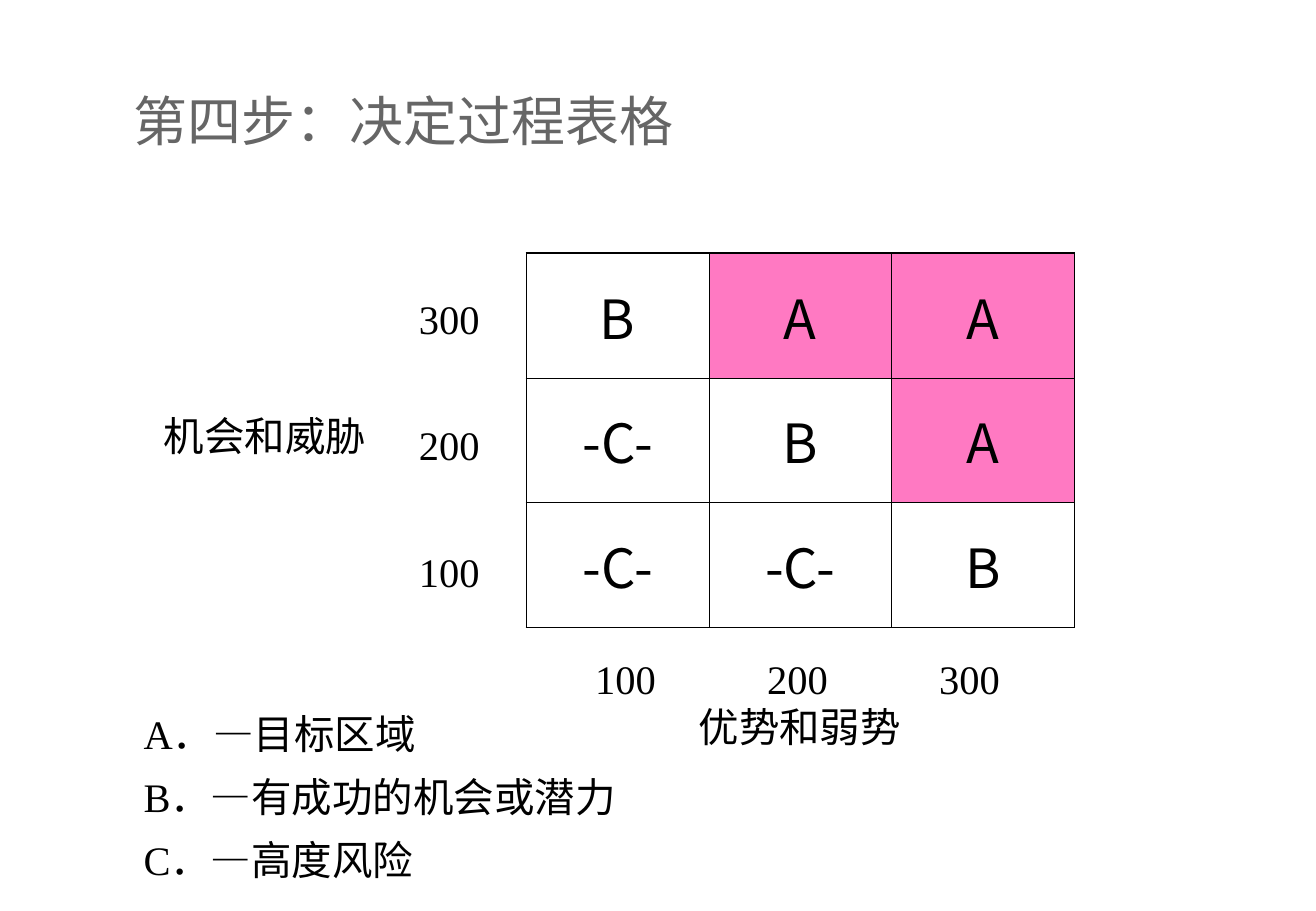
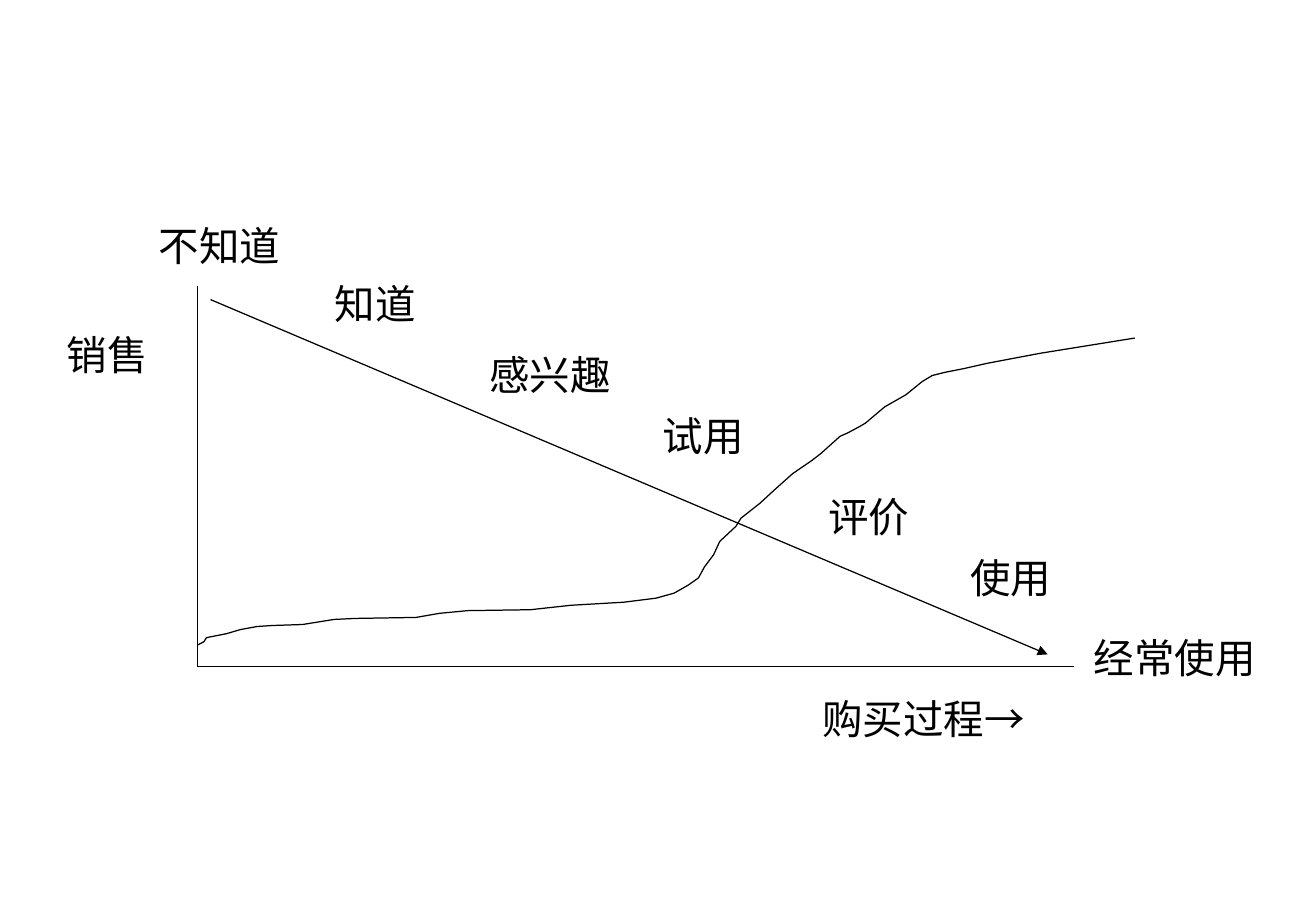
from dataclasses import dataclass

from lxml import etree
from pptx import Presentation
from pptx import util as u
from pptx.dml.color import RGBColor
from pptx.enum import shapes, text
from pptx.oxml import ns

COLUMNS, ROWS = 130, 90


@dataclass(frozen=True)
class Theme:
    """Colours, fonts and type sizes of the deck."""
    ink: str = "000000"
    heading: str = "666666"
    target: str = "FF79C2"
    title_font: str = "Arial"
    label_font: str = "Times New Roman"
    chinese_font: str = "Noto Sans CJK SC"
    title_size: int = 32
    label_size: int = 24
    line_width: float = 0.75
    outer_border: float = 1.08
    inner_border: float = 0.45


def element(parent, tag, **attributes):
    """Append a DrawingML element and return it."""
    return etree.SubElement(parent, ns.qn(tag), attributes)


def write(paragraph, words, *, font, size, color, chinese,
          align=text.PP_ALIGN.LEFT, spacing=None, before=0, tabs=()):
    """Write words into a paragraph with the given format."""
    if tabs:
        stops = element(paragraph._p.get_or_add_pPr(), "a:tabLst")
        for stop in tabs:
            element(stops, "a:tab", pos=str(stop), algn="l")
    paragraph.alignment = align
    if spacing:
        paragraph.line_spacing = spacing
    if before:
        paragraph.space_before = u.Pt(before)
    span = paragraph.add_run()
    span.text = words
    span.font.name = font
    span.font.size = u.Pt(size)
    span.font.color.rgb = RGBColor.from_string(color)
    element(span._r.get_or_add_rPr(), "a:ea", typeface=chinese)


class Deck:
    """Hold the theme and the current page, and add elements to it."""

    def __init__(self, theme):
        """Open an empty presentation."""
        self.theme = theme
        self.file = Presentation()
        self.file.slide_width = u.Inches(10.84)
        self.file.slide_height = u.Inches(7.5)
        self.page = None

    def x(self, columns):
        """Turn grid columns into a length."""
        return u.Emu(round(self.file.slide_width * columns / COLUMNS))

    def y(self, rows):
        """Turn grid rows into a length."""
        return u.Emu(round(self.file.slide_height * rows / ROWS))

    def frame(self, column, row, width, height):
        """Turn a grid area into left, top, width and height."""
        return self.x(column), self.y(row), self.x(width), self.y(height)

    def style(self, **changes):
        """Return the label format with changes."""
        theme = self.theme
        return dict(font=theme.label_font, size=theme.label_size,
                    color=theme.ink, chinese=theme.chinese_font) | changes

    def add_page(self, title=None):
        """Start a page, with a title when one is given."""
        layouts = self.file.slide_layouts
        self.page = self.file.slides.add_slide(layouts[5 if title else 6])
        if title:
            box = self.page.shapes.title
            box.left, box.top, box.width, box.height = self.frame(12, 10, 101, 3.7)
            box.text_frame.auto_size = text.MSO_AUTO_SIZE.NONE
            box.text_frame.vertical_anchor = text.MSO_ANCHOR.MIDDLE
            write(box.text_frame.paragraphs[0], title, **self.style(
                font=self.theme.title_font, size=self.theme.title_size,
                color=self.theme.heading))

    def text_box(self, area, lines, *, wrap=False, gap=0, **changes):
        """Add a text box; a line is words or words with its own format."""
        frame = self.page.shapes.add_textbox(*self.frame(*area)).text_frame
        frame.word_wrap = wrap
        frame.auto_size = text.MSO_AUTO_SIZE.SHAPE_TO_FIT_TEXT
        for index, line in enumerate(lines):
            words, own = (line, {}) if isinstance(line, str) else line
            paragraph = frame.add_paragraph() if index else frame.paragraphs[0]
            write(paragraph, words, before=gap if index else 0,
                  **self.style(**changes | own))

    def label(self, words, column, row):
        """Add a one-line label a little wider than its words."""
        self.text_box((column, row, 3 + 4.1 * len(words), 6), [words])

    def matrix(self, area, grades, highlight):
        """Add a bordered table that fills the highlighted grade."""
        last_row, last_column = len(grades) - 1, len(grades[0]) - 1
        table = self.page.shapes.add_table(
            last_row + 1, last_column + 1, *self.frame(*area)).table
        table.first_row = table.horz_banding = False
        for row, line in enumerate(grades):
            for column, grade in enumerate(line):
                cell = table.cell(row, column)
                cell.vertical_anchor = text.MSO_ANCHOR.MIDDLE
                self.borders(cell, {"L": column == 0, "R": column == last_column,
                                    "T": row == 0, "B": row == last_row})
                if grade == highlight:
                    cell.fill.solid()
                    cell.fill.fore_color.rgb = RGBColor.from_string(self.theme.target)
                else:
                    cell.fill.background()
                write(cell.text_frame.paragraphs[0], grade, **self.style(
                    font=self.theme.chinese_font, size=self.theme.title_size,
                    align=text.PP_ALIGN.CENTER))

    def borders(self, cell, sides):
        """Draw cell borders, heavier on outer sides."""
        properties = cell._tc.get_or_add_tcPr()
        for side, outer in sides.items():
            width = self.theme.outer_border if outer else self.theme.inner_border
            line = element(properties, f"a:ln{side}", w=str(u.Pt(width)))
            element(element(line, "a:solidFill"), "a:srgbClr", val=self.theme.ink)

    def ink_line(self, line):
        """Give a line the ink colour and the standard width."""
        line.color.rgb = RGBColor.from_string(self.theme.ink)
        line.width = u.Pt(self.theme.line_width)

    def line(self, start, end, arrow=False):
        """Add a straight line between two grid points."""
        connector = self.page.shapes.add_connector(
            shapes.MSO_CONNECTOR.STRAIGHT, self.x(start[0]), self.y(start[1]),
            self.x(end[0]), self.y(end[1]))
        self.ink_line(connector.line)
        if arrow:
            element(connector.line._get_or_add_ln(), "a:tailEnd", type="triangle")
        element(connector._element.spPr, "a:effectLst")

    def curve(self, points):
        """Add an open outline through grid points."""
        start, *rest = [(self.x(column), self.y(row)) for column, row in points]
        builder = self.page.shapes.build_freeform(*start)
        builder.add_line_segments(rest, close=False)
        outline = builder.convert_to_shape()
        outline.shadow.inherit = False
        outline.fill.background()
        self.ink_line(outline.line)


def decision_page(deck):
    """Build the decision table page."""
    deck.add_page("第四步：决定过程表格")
    deck.matrix((52, 25, 54.15, 37),
                [("B", "A", "A"), ("-C-", "B", "A"), ("-C-", "-C-", "B")],
                highlight="A")
    deck.text_box((57.6, 64, 42.8, 10.8), [
        ("100\t200\t300", dict(tabs=(deck.x(17), deck.x(34)))),
        ("优势和弱势", dict(align=text.PP_ALIGN.CENTER))], wrap=True)
    deck.label("机会和威胁", 15, 40)
    deck.text_box((40.2, 27, 8.4, 32.4), ["300", "200", "100"],
                  spacing=1.3, gap=37.5)
    deck.text_box((13, 68, 58.4, 20),
                  ["A．—目标区域", "B．—有成功的机会或潜力", "C．—高度风险"],
                  wrap=True, spacing=1.3)


SALES = [
    (19.55, 63.7), (20.15, 63.4), (20.4, 63), (22.4, 62.6), (23.75, 62.2),
    (25.4, 61.9), (26.9, 61.8), (29.9, 61.7), (33, 61.2), (35.1, 61.1),
    (41.1, 61), (43.4, 60.6), (46.2, 60.33), (52.4, 60.24), (56.4, 59.8),
    (61.6, 59.5), (64.8, 59.1), (66.6, 58.6), (68, 57.8), (69, 57.1),
    (69.6, 56), (70.5, 54.8), (71.1, 53.5), (72.7, 52), (73.2, 51.2),
    (75.1, 49.7), (76.4, 48.5), (78.3, 46.8), (80.2, 45.5), (81.1, 44.8),
    (83, 43.1), (83.7, 42.8), (85, 42.1), (85.5, 41.8), (87.4, 40.2),
    (89.5, 39), (91.1, 37.7), (92.1, 37.1), (93.3, 36.8), (95.3, 36.4),
    (97.5, 35.9), (102.8, 34.9), (112.1, 33.4)]

STAGES = [("不知道", 14.5, 21.25), ("知道", 31.9, 27), ("感兴趣", 47.15, 34),
          ("试用", 64.3, 40), ("评价", 80.65, 48), ("使用", 94.65, 54),
          ("经常使用", 106.85, 62)]


def buying_page(deck):
    """Build the buying process page."""
    deck.add_page()
    origin = (19.55, 65.85)
    deck.line(origin, (106.1, origin[1]))
    deck.line(origin, (origin[0], 28.3))
    deck.line((20.8, 29.6), (103.5, 64.65), arrow=True)
    deck.curve(SALES)
    for stage in STAGES:
        deck.label(*stage)
    deck.label("销售", 5.4, 32)
    deck.label("购买过程→", 80.05, 68)


def main():
    """Build and save the deck."""
    deck = Deck(Theme())
    decision_page(deck)
    buying_page(deck)
    deck.file.save("out.pptx")


if __name__ == "__main__":
    main()
